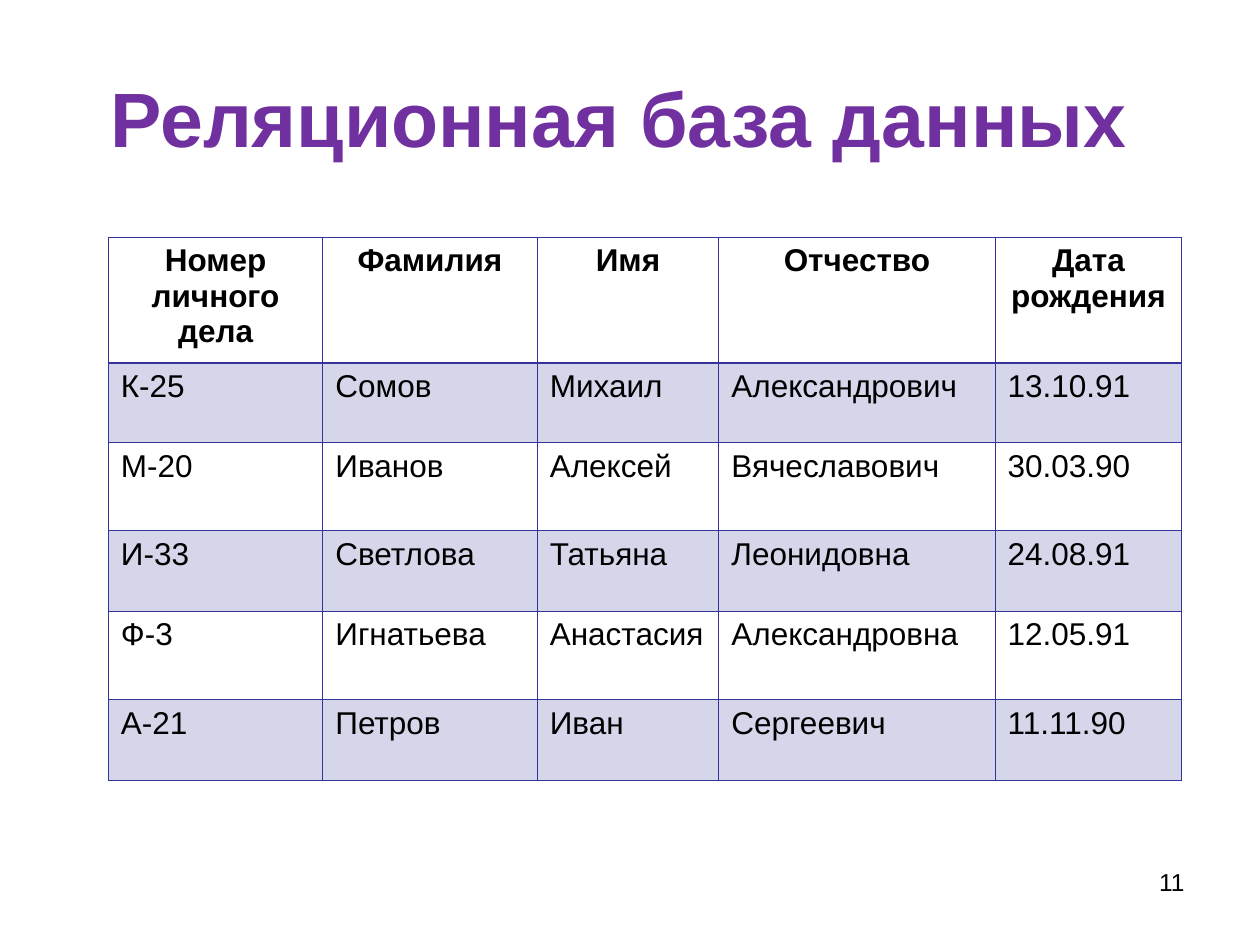
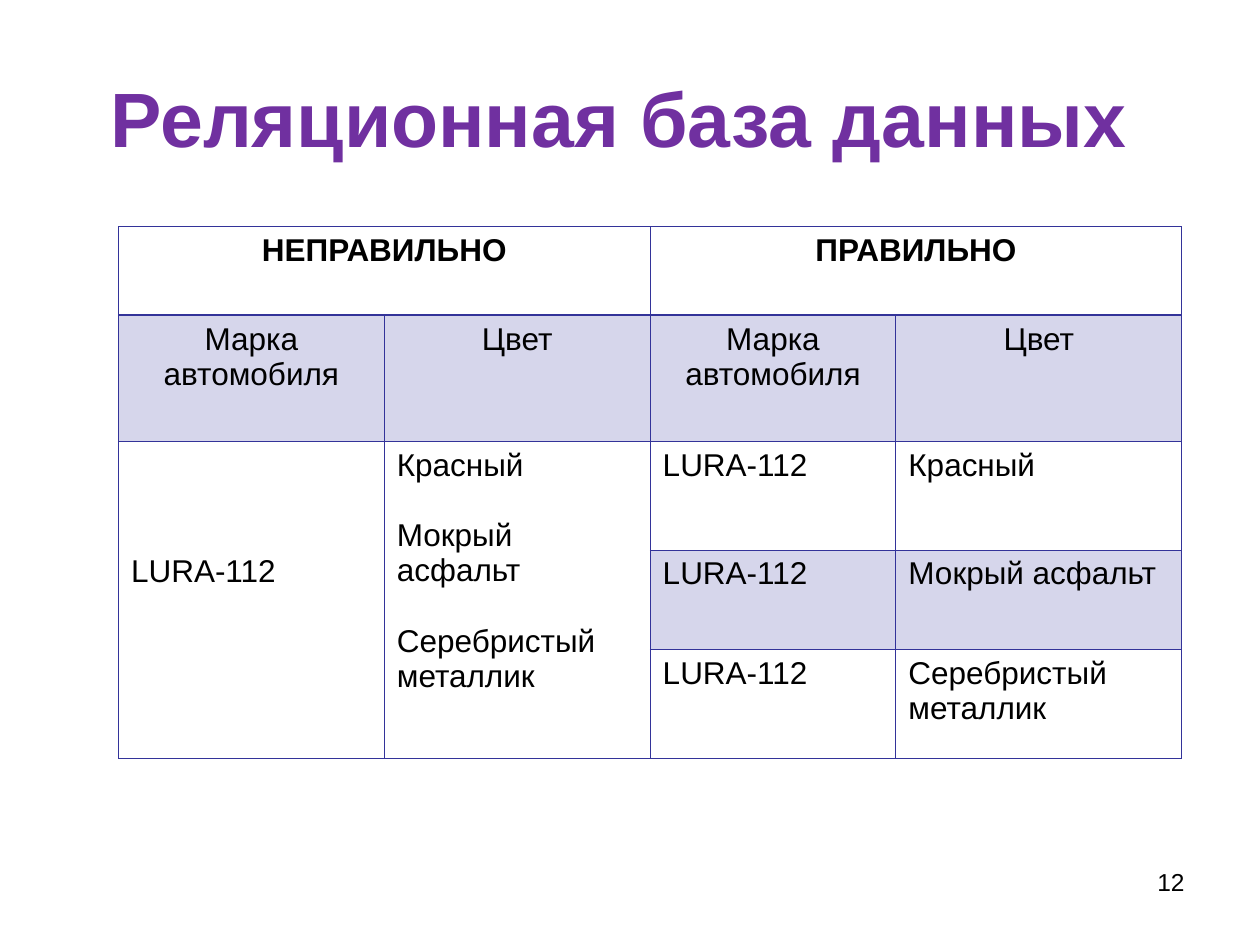
from dataclasses import dataclass
from typing import NamedTuple

from lxml import etree
from pptx import Presentation
from pptx import util as u
from pptx.dml.color import RGBColor
from pptx.enum import text
from pptx.oxml.ns import qn


@dataclass(frozen=True)
class Theme:
    font: str = "Arial"
    title_color: str = "7030A0"
    text_color: str = "000000"
    line_color: str = "333399"
    band_color: str = "D6D6EB"
    title_size: float = 44
    table_size: float = 18
    number_size: float = 14
    thin_line: float = 0.45
    header_line: float = 0.96


class Box(NamedTuple):
    """A region in grid units: the slide has 100 columns and 75 rows."""
    left: float
    top: float
    width: float
    height: float


THEME = Theme()
COLUMNS, ROWS = 100, 75
SLIDE_WIDTH, SLIDE_HEIGHT = u.Inches(10), u.Inches(7.5)
TITLE_BOX = Box(5, 3, 90, 12.5)
NUMBER_BOX = Box(71.7, 68.3, 23.3, 5.2)
LEFT, CENTER, RIGHT = text.PP_ALIGN.LEFT, text.PP_ALIGN.CENTER, text.PP_ALIGN.RIGHT

PEOPLE_BOX = Box(8.6, 18.8, 85.2, 43.1)
PEOPLE_COLUMNS = [1.7, 1.7, 1.44, 2.19, 1.48]
PEOPLE_ROWS = [1, 0.63, 0.7, 0.64, 0.7, 0.64]
PEOPLE = [
    ["Номер личного дела", "Фамилия", "Имя", "Отчество", "Дата рождения"],
    ["К-25", "Сомов", "Михаил", "Александрович", "13.10.91"],
    ["М-20", "Иванов", "Алексей", "Вячеславович", "30.03.90"],
    ["И-33", "Светлова", "Татьяна", "Леонидовна", "24.08.91"],
    ["Ф-3", "Игнатьева", "Анастасия", "Александровна", "12.05.91"],
    ["А-21", "Петров", "Иван", "Сергеевич", "11.11.90"],
]

CARS_BOX = Box(9.4, 18, 84.4, 42.2)
CARS_COLUMNS = [2.11, 2.11, 1.95, 2.27]
CARS_ROWS = [0.7, 1, 0.86, 0.79, 0.86]
CAR = "LURA-112"
PAINTS = ["Красный", "Мокрый асфальт", "Серебристый металлик"]
CARS = [
    ["НЕПРАВИЛЬНО", "", "ПРАВИЛЬНО", ""],
    ["Марка автомобиля", "Цвет"] * 2,
    [CAR, "\n".join(PAINTS), CAR, PAINTS[0]],
    *[["", "", CAR, paint] for paint in PAINTS[1:]],
]
CARS_MERGES = [((0, 0), (0, 1)), ((0, 2), (0, 3)),
               ((2, 0), (4, 0)), ((2, 1), (4, 1))]


def to_emu(box):
    column, row = SLIDE_WIDTH / COLUMNS, SLIDE_HEIGHT / ROWS
    return (round(box.left * column), round(box.top * row),
            round(box.width * column), round(box.height * row))


def style_paragraph(paragraph, size, color, align, bold=False):
    paragraph.alignment = align
    font = paragraph.font
    font.name, font.size, font.bold = THEME.font, u.Pt(size), bold
    font.color.rgb = RGBColor.from_string(color)


def add_text(slide, box, content, size, color, align, bold=False,
             anchor=text.MSO_ANCHOR.TOP):
    frame = slide.shapes.add_textbox(*to_emu(box)).text_frame
    frame.word_wrap = True
    frame.vertical_anchor = anchor
    frame.text = content
    style_paragraph(frame.paragraphs[0], size, color, align, bold)


def add_base_slide(presentation, number):
    """Add a slide with the shared title and its page number."""
    slide = presentation.slides.add_slide(presentation.slide_layouts[6])
    # The closing space takes part in centring the title.
    add_text(slide, TITLE_BOX, "Реляционная база данных ", THEME.title_size,
             THEME.title_color, CENTER, True, text.MSO_ANCHOR.MIDDLE)
    add_text(slide, NUMBER_BOX, str(number), THEME.number_size,
             THEME.text_color, RIGHT)
    return slide


def set_borders(cell, row_index):
    widths = {"lnL": THEME.thin_line, "lnR": THEME.thin_line,
              "lnT": THEME.header_line if row_index == 1 else THEME.thin_line,
              "lnB": THEME.header_line if row_index == 0 else THEME.thin_line}
    properties = cell._tc.get_or_add_tcPr()
    for tag, width in widths.items():
        line = etree.SubElement(properties, qn("a:" + tag), w=str(u.Pt(width)))
        fill = etree.SubElement(line, qn("a:solidFill"))
        etree.SubElement(fill, qn("a:srgbClr"), val=THEME.line_color)


def style_cell(cell, row_index, centered_rows):
    set_borders(cell, row_index)
    if row_index % 2 and not cell.is_spanned:
        cell.fill.solid()
        cell.fill.fore_color.rgb = RGBColor.from_string(THEME.band_color)
    else:
        cell.fill.background()
    for paragraph in cell.text_frame.paragraphs:
        style_paragraph(paragraph, THEME.table_size, THEME.text_color,
                        CENTER if row_index < centered_rows else LEFT,
                        row_index == 0)


def set_sizes(tracks, weights, total, attribute):
    """Share a total length among columns or rows by weight."""
    for track, weight in zip(tracks, weights):
        setattr(track, attribute, round(total * weight / sum(weights)))


def add_grid(slide, box, values, column_weights, row_weights,
             centered_rows=1, merges=()):
    left, top, width, height = to_emu(box)
    table = slide.shapes.add_table(len(values), len(values[0]),
                                   left, top, width, height).table
    table.horz_banding = False
    set_sizes(table.columns, column_weights, width, "width")
    set_sizes(table.rows, row_weights, height, "height")
    for first, last in merges:
        table.cell(*first).merge(table.cell(*last))
    for row_index, row in enumerate(values):
        for column_index, value in enumerate(row):
            cell = table.cell(row_index, column_index)
            cell.text = value
            style_cell(cell, row_index, centered_rows)
    return table


def add_people_slide(presentation):
    slide = add_base_slide(presentation, 11)
    add_grid(slide, PEOPLE_BOX, PEOPLE, PEOPLE_COLUMNS, PEOPLE_ROWS)


def add_cars_slide(presentation):
    slide = add_base_slide(presentation, 12)
    table = add_grid(slide, CARS_BOX, CARS, CARS_COLUMNS, CARS_ROWS,
                     centered_rows=2, merges=CARS_MERGES)
    table.cell(2, 0).margin_top = u.Inches(0.89)
    for paragraph in table.cell(2, 1).text_frame.paragraphs[1:]:
        paragraph.space_before = u.Pt(20)


def main():
    presentation = Presentation()
    presentation.slide_width, presentation.slide_height = SLIDE_WIDTH, SLIDE_HEIGHT
    add_people_slide(presentation)
    add_cars_slide(presentation)
    presentation.save("out.pptx")


if __name__ == "__main__":
    main()
